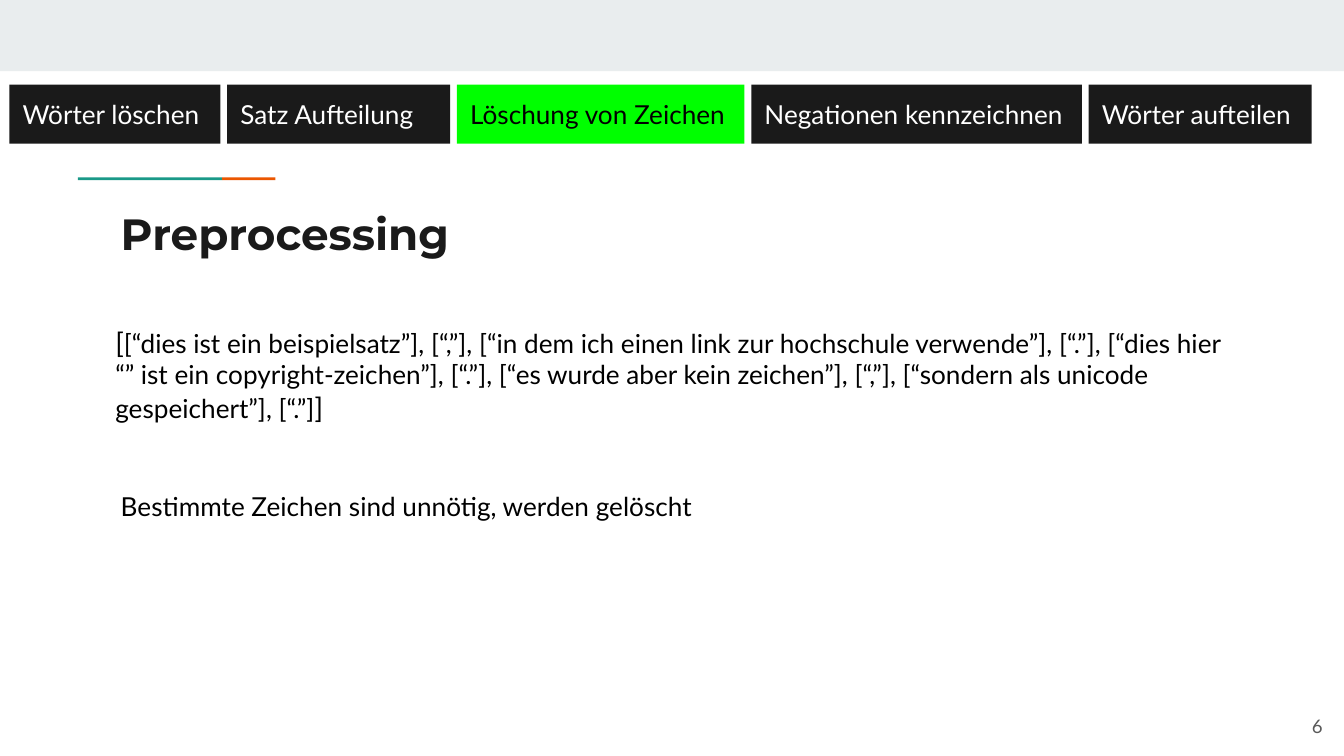
from pptx import Presentation
from pptx.dml.color import RGBColor
from pptx.enum.shapes import MSO_SHAPE
from pptx.enum.text import MSO_ANCHOR, PP_ALIGN
from pptx.util import Inches, Pt

RECTANGLE = MSO_SHAPE.RECTANGLE
TOP, MIDDLE = MSO_ANCHOR.TOP, MSO_ANCHOR.MIDDLE
LEFT, RIGHT = PP_ALIGN.LEFT, PP_ALIGN.RIGHT

BAND = RGBColor(0xE9, 0xED, 0xEE)
DARK = RGBColor(0x1A, 0x1A, 0x1A)
GREEN = RGBColor(0x00, 0xFF, 0x00)
TEAL = RGBColor(0x1A, 0x99, 0x88)
ORANGE = RGBColor(0xEB, 0x56, 0x00)
GREY = RGBColor(0x59, 0x59, 0x59)
BLACK = RGBColor(0x00, 0x00, 0x00)
WHITE = RGBColor(0xFF, 0xFF, 0xFF)

WIDTH = 10
HEIGHT = WIDTH * 9 / 16
INSET = 0.1
STEP_GAP = 0.05
TEAL_SHARE = 0.73

STEPS = [
    ("Wörter löschen", 1.57),
    ("Satz Aufteilung", 1.66),
    ("Löschung von Zeichen", 2.14),
    ("Negationen kennzeichnen", 2.46),
    ("Wörter aufteilen", 1.66),
]
CURRENT_STEP = 2

EXAMPLE = (
    "[“dies ist ein beispielsatz”], [“,”], "
    "[“in dem ich einen link zur hochschule verwende”], [“.”], "
    "[“dies hier “” ist ein copyright-zeichen”], [“.”], "
    "[“es wurde aber kein zeichen”], [“,”], "
    "[“sondern als unicode gespeichert”], [“.”]"
)


def add_block(slide, box, color):
    """Add a plain filled rectangle."""
    block = slide.shapes.add_shape(RECTANGLE, *map(Inches, box))
    block.shadow.inherit = False
    block.fill.solid()
    block.fill.fore_color.rgb = color
    block.line.fill.background()
    return block


def write_text(shape, runs, color, font="Lato", bold=False, align=LEFT, anchor=TOP):
    """Write (text, size) runs as the one paragraph of a shape."""
    frame = shape.text_frame
    frame.word_wrap = True
    frame.vertical_anchor = anchor
    frame.margin_left = frame.margin_right = Inches(INSET)
    frame.margin_top = frame.margin_bottom = Inches(INSET)
    paragraph = frame.paragraphs[0]
    paragraph.alignment = align
    for text, size in runs:
        run = paragraph.add_run()
        run.text = text
        run.font.name = font
        run.font.size = Pt(size)
        run.font.bold = bold
        run.font.color.rgb = color


def add_text(slide, box, runs, color, **style):
    """Add a text box holding the given runs."""
    write_text(slide.shapes.add_textbox(*map(Inches, box)), runs, color, **style)


def add_step_bar(slide, left, top, height):
    """Add the row of processing steps with the current one highlighted."""
    for index, (label, width) in enumerate(STEPS):
        current = index == CURRENT_STEP
        step = add_block(slide, (left, top, width, height), GREEN if current else DARK)
        write_text(step, [(label, 14)], BLACK if current else WHITE)
        left += width + STEP_GAP


def add_accent(slide, left, top, width, height):
    """Add the two-colour accent line above the title."""
    split = width * TEAL_SHARE
    add_block(slide, (left, top, split, height), TEAL)
    add_block(slide, (left + split, top, width - split, height), ORANGE)


def build_slide(presentation):
    """Build the preprocessing slide."""
    slide = presentation.slides.add_slide(presentation.slide_layouts[6])
    add_block(slide, (0, 0, WIDTH, 0.53), BAND)
    add_accent(slide, 0.58, 1.32, 1.47, 0.02)
    add_text(slide, (0.8, 1.44, 8.41, 0.59), [("Preprocessing", 23.4)], DARK,
             font="Montserrat", bold=True)
    add_step_bar(slide, 0.07, 0.63, 0.44)
    add_text(slide, (0.76, 2.32, 8.48, 0.94),
             [("[", 15), (EXAMPLE, 14), ("]", 15)], BLACK)
    add_text(slide, (0.8, 3.55, 8.41, 0.44),
             [("Bestimmte Zeichen sind unnötig, werden gelöscht", 14)], BLACK)
    add_text(slide, (9.34, 5.19, 0.6, 0.43), [("6", 10)], GREY,
             align=RIGHT, anchor=MIDDLE)


presentation = Presentation()
presentation.slide_width = Inches(WIDTH)
presentation.slide_height = Inches(HEIGHT)
build_slide(presentation)
presentation.save("out.pptx")
